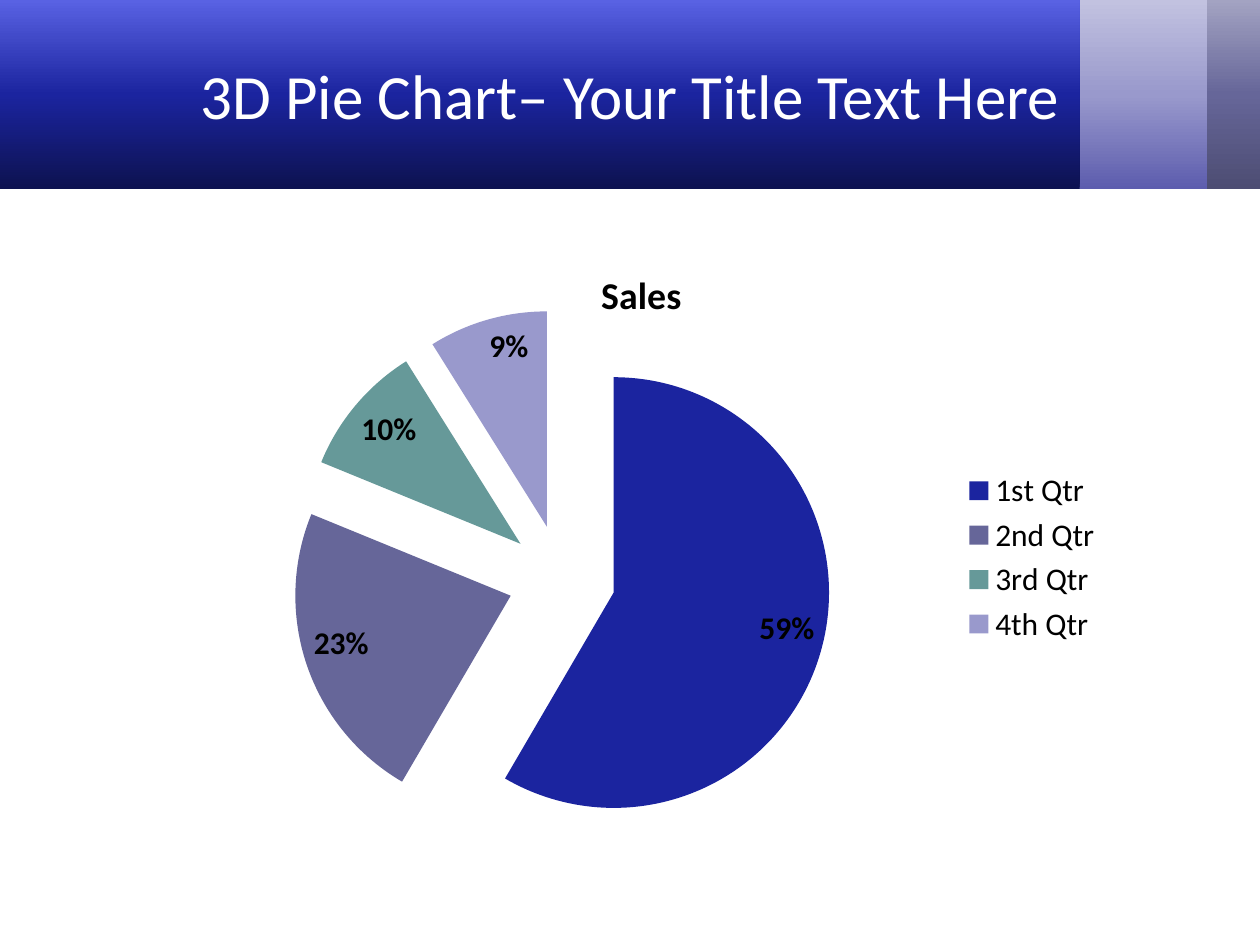
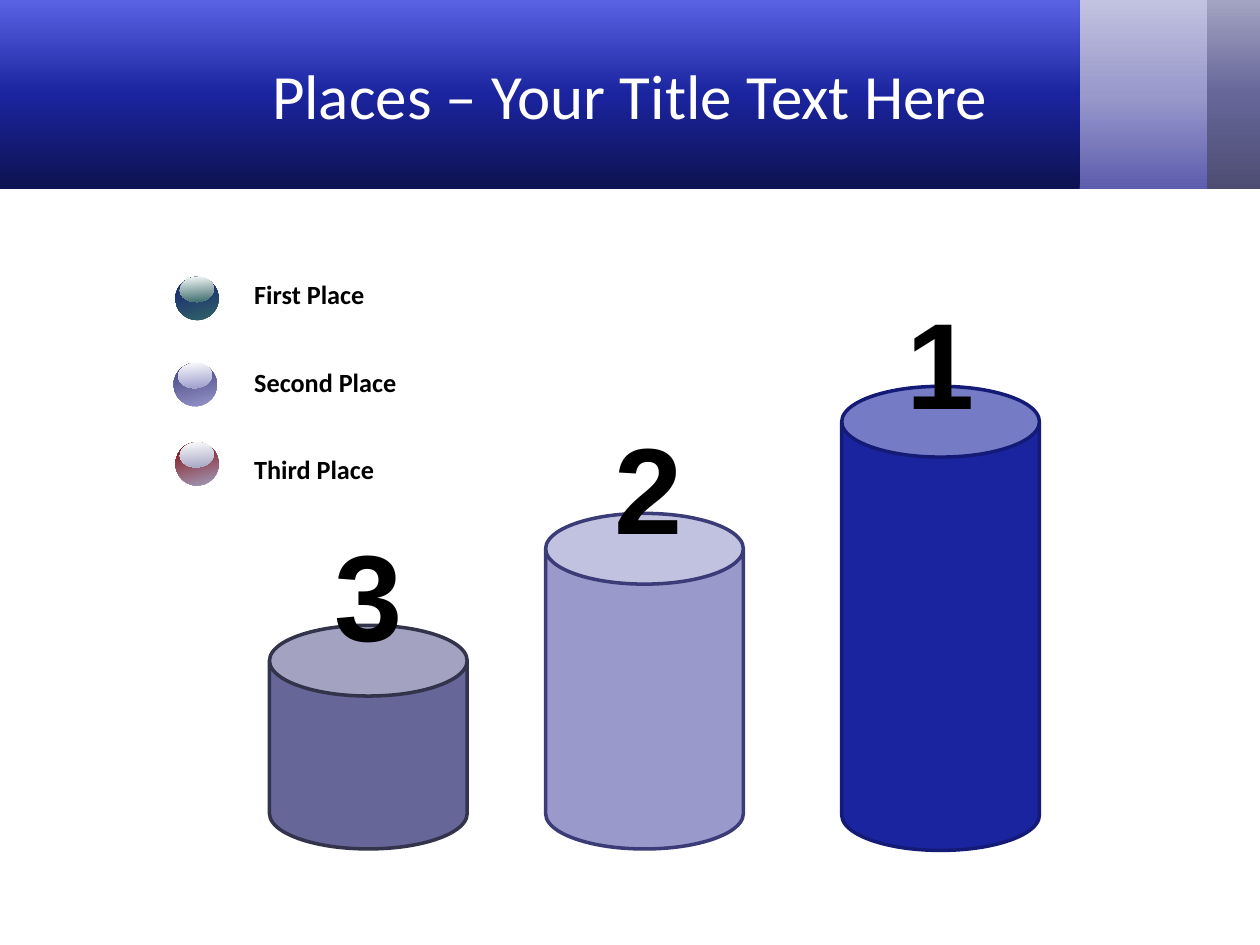
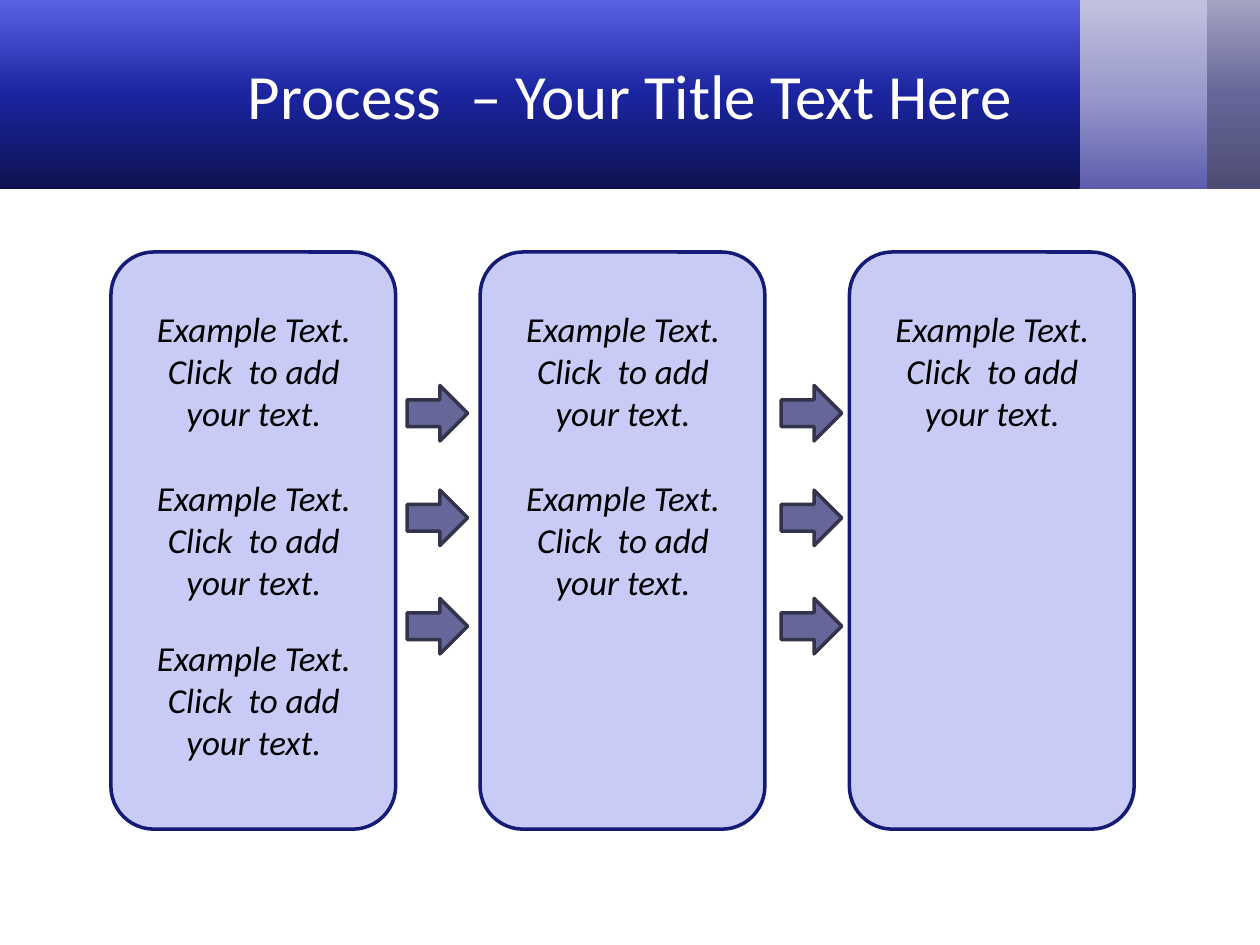
from typing import NamedTuple, Optional

from lxml.etree import SubElement
from pptx import Presentation
from pptx.chart.data import CategoryChartData
from pptx.dml.color import RGBColor
from pptx.enum.chart import XL_CHART_TYPE as ChartType
from pptx.enum.chart import XL_LABEL_POSITION as LabelPosition
from pptx.enum.chart import XL_LEGEND_POSITION as LegendPosition
from pptx.enum.shapes import MSO_SHAPE as Preset
from pptx.enum.text import MSO_ANCHOR as Anchor
from pptx.enum.text import MSO_AUTO_SIZE as AutoSize
from pptx.enum.text import PP_ALIGN as Align
from pptx.oxml.ns import qn
from pptx.util import Pt

# Shared look
COLORS = {
    "white": "FFFFFF", "black": "000000",
    "blue": "1B249F", "blue_dark": "0D1250", "blue_light": "5962E3",
    "blue_edge": "141B77", "blue_pale": "C8CBF6",
    "lilac": "9999CC", "lilac_dark": "5D5DAE", "lilac_light": "C2C2E0",
    "lilac_edge": "3B3B77",
    "slate": "666699", "slate_dark": "4D4D73", "slate_light": "A3A3C2",
    "slate_edge": "33334C",
    "teal": "669999", "teal_dark": "336666", "maroon": "800000",
}
BODY_FONT = "Calibri"
DIGIT_FONT = "Arial"
BAND_HEIGHT = 108
LINE_WIDTH = 2


class Box(NamedTuple):
    left: float
    top: float
    width: float
    height: float

    def points(self) -> tuple:
        return tuple(Pt(length) for length in self)


class TextStyle(NamedTuple):
    size: float
    color: str = "black"
    font: str = BODY_FONT
    bold: bool = False
    italic: bool = False
    align: Align = Align.CENTER


class Band(NamedTuple):
    left: float
    width: float
    colors: tuple


class Podium(NamedTuple):
    place: str
    can: Box
    digit_left: float
    digit_top: float
    fill: str
    edge: str


class LegendEntry(NamedTuple):
    text: str
    ball_left: float
    ball_top: float
    light: str
    dark: str


TITLE_BOX = Box(36, 5.8, 648, 95.8)
TITLE_STYLE = TextStyle(36, "white")
BANDS = [
    Band(679, 41, ("slate_dark", "slate", "slate_light")),
    Band(614.2, 75.6, ("lilac_dark", "lilac", "lilac_light")),
    Band(0, 617, ("blue_dark", "blue", "blue_light")),
]


# Helpers
def rgb(name: str) -> RGBColor:
    return RGBColor.from_string(COLORS[name])


def add_shape(shapes, preset: Preset, box: Box, fill: Optional[str] = None,
              edge: Optional[str] = None, adjustments: tuple = ()):
    shape = shapes.add_shape(preset, *box.points())
    shape.shadow.inherit = False
    for index, value in enumerate(adjustments):
        shape.adjustments[index] = value
    if fill:
        shape.fill.solid()
        shape.fill.fore_color.rgb = rgb(fill)
    if edge:
        shape.line.color.rgb = rgb(edge)
        shape.line.width = Pt(LINE_WIDTH)
    else:
        shape.line.fill.background()
    return shape


def fill_gradient(shape, colors: tuple, clockwise: float) -> None:
    """Spread the colours evenly along a direction given in clockwise degrees."""
    shape.fill.gradient()
    shape.fill.gradient_angle = 360 - clockwise
    stops = shape.element.spPr.find(qn("a:gradFill")).find(qn("a:gsLst"))
    for stop in list(stops):
        stops.remove(stop)
    for index, name in enumerate(colors):
        position = 100000 * index // (len(colors) - 1)
        stop = SubElement(stops, qn("a:gs"), pos=str(position))
        SubElement(stop, qn("a:srgbClr"), val=COLORS[name])


def write(frame, lines: tuple, style: TextStyle) -> None:
    for index, line in enumerate(lines):
        para = frame.add_paragraph() if index else frame.paragraphs[0]
        para.alignment = style.align
        span = para.add_run()
        span.text = line
        span.font.name = style.font
        span.font.size = Pt(style.size)
        span.font.bold = style.bold
        span.font.italic = style.italic
        span.font.color.rgb = rgb(style.color)


def add_text(page, box: Box, lines: tuple, style: TextStyle):
    frame = page.shapes.add_textbox(*box.points()).text_frame
    frame.word_wrap = True
    frame.auto_size = AutoSize.SHAPE_TO_FIT_TEXT
    write(frame, lines, style)
    return frame


def add_page(deck, layout, title: str):
    page = deck.slides.add_slide(layout)
    holder = page.shapes.title
    holder.left, holder.top, holder.width, holder.height = TITLE_BOX.points()
    holder.text_frame.vertical_anchor = Anchor.MIDDLE
    write(holder.text_frame, (title,), TITLE_STYLE)
    return page


def put_bands_on_layout(page, layout) -> None:
    """Draw the header bands and move them behind the layout's placeholders."""
    for index, band in enumerate(BANDS):
        box = Box(band.left, 0, band.width, BAND_HEIGHT)
        shape = add_shape(page.shapes, Preset.RECTANGLE, box)
        fill_gradient(shape, band.colors, 270)
        layout.shapes.element.insert(2 + index, shape.element)


# Pie chart
CHART_BOX = Box(95.8, 138.2, 541.4, 360.7)
QUARTERS = {"1st Qtr": (59, "blue"), "2nd Qtr": (23, "slate"),
            "3rd Qtr": (10, "teal"), "4th Qtr": (9, "lilac")}
PLOT_LAYOUT = {"layoutTarget": "inner", "xMode": "edge", "yMode": "edge",
               "x": "0.012", "y": "0.107", "w": "0.808", "h": "0.853"}


def place_plot(chart) -> None:
    area = chart.element.find(".//" + qn("c:plotArea"))
    for layout in area.findall(qn("c:layout")):
        area.remove(layout)
    layout = SubElement(area, qn("c:layout"))
    area.insert(0, layout)
    manual = SubElement(layout, qn("c:manualLayout"))
    for tag, value in PLOT_LAYOUT.items():
        SubElement(manual, qn("c:" + tag), val=value)


def explode(series, percent: int) -> None:
    element = series.format and series._element
    explosion = SubElement(element, qn("c:explosion"), val=str(percent))
    element.find(qn("c:cat")).addprevious(explosion)
    for point in element.findall(qn("c:dPt")):
        explosion.addnext(point)


def draw_pie(page) -> None:
    data = CategoryChartData()
    data.categories = list(QUARTERS)
    data.add_series("Sales", [value for value, _ in QUARTERS.values()])
    chart = page.shapes.add_chart(ChartType.PIE, *CHART_BOX.points(), data).chart
    chart.font.name = BODY_FONT
    chart.font.size = Pt(18)
    chart.font.color.rgb = rgb("black")

    chart.has_title = True
    write(chart.chart_title.text_frame, ("Sales",), TextStyle(21.6, bold=True))
    chart.has_legend = True
    chart.legend.position = LegendPosition.RIGHT
    chart.legend.include_in_layout = False
    chart.legend.font.name = BODY_FONT
    chart.legend.font.size = Pt(18)
    chart.legend.font.color.rgb = rgb("black")

    plot = chart.plots[0]
    plot.vary_by_categories = True
    series = plot.series[0]
    explode(series, 25)
    for index, (_, color) in enumerate(QUARTERS.values()):
        fill = series.points[index].format.fill
        fill.solid()
        fill.fore_color.rgb = rgb(color)

    plot.has_data_labels = True
    labels = plot.data_labels
    labels.show_value = True
    labels.number_format = '0"%"'
    labels.number_format_is_linked = False
    labels.position = LabelPosition.INSIDE_END
    labels.font.name = BODY_FONT
    labels.font.size = Pt(18)
    labels.font.bold = True
    labels.font.color.rgb = rgb("black")
    place_plot(chart)


# Podium
PODIUMS = [
    Podium("2", Box(311.8, 293.4, 113, 191.8), 331.2, 231.8, "lilac", "lilac_edge"),
    Podium("3", Box(154, 357.3, 113, 127.8), 171.4, 293, "slate", "slate_edge"),
    Podium("1", Box(481, 220.8, 113, 265.2), 498.2, 160.6, "blue", "blue_edge"),
]
LEGEND = [
    LegendEntry("First Place", 100.2, 158.2, "teal_dark", "blue_edge"),
    LegendEntry("Second Place", 99.2, 207.4, "lilac", "lilac_edge"),
    LegendEntry("Third Place", 100.2, 252.7, "slate_light", "maroon"),
]
LEGEND_TOP, LEGEND_STEP = 152, 50
BALL_TILT = 355.8


def draw_ball(page, entry: LegendEntry) -> None:
    group = page.shapes.add_group_shape()
    left, top = entry.ball_left, entry.ball_top
    layers = [
        (Box(left, top, 24.8, 24.8), (entry.light, entry.dark), 260),
        (Box(left + 2.6, top, 19.4, 14.4), ("white", entry.light), 90),
    ]
    for box, colors, angle in layers:
        oval = add_shape(group.shapes, Preset.OVAL, box)
        fill_gradient(oval, colors, angle)
        oval.rotation = BALL_TILT


def draw_podium(page) -> None:
    for podium in PODIUMS:
        add_shape(page.shapes, Preset.CAN, podium.can, podium.fill, podium.edge, (0.358,))
    for podium in PODIUMS:
        box = Box(podium.digit_left, podium.digit_top, 78.5, 92.2)
        add_text(page, box, (podium.place,), TextStyle(70, font=DIGIT_FONT, bold=True))

    for index, entry in enumerate(LEGEND):
        box = Box(138.2, LEGEND_TOP + index * LEGEND_STEP, 136, 28.8)
        style = TextStyle(15, bold=True, align=Align.LEFT)
        frame = add_text(page, box, (entry.text,), style)
        frame.vertical_anchor = Anchor.MIDDLE
        frame.margin_top = Pt(7.2)
        draw_ball(page, entry)


# Process
COLUMN_COUNT = 3
COLUMN_STEP = 211
PANEL = Box(63.4, 144, 162.7, 329.8)
TEXT_LEFT = 72.7
TEXT_TOPS = (172.1, 268.6, 360)
ARROW_LEFTS = (232.6, 446.4)
ARROW_TOPS = (220.3, 280.1, 342)
EXAMPLE = ("Example Text.", "Click  to add your text.")


def draw_process(page) -> None:
    for column in range(COLUMN_COUNT):
        panel = PANEL._replace(left=PANEL.left + column * COLUMN_STEP)
        add_shape(page.shapes, Preset.ROUNDED_RECTANGLE, panel,
                  "blue_pale", "blue_edge", (0.151,))
    for left in ARROW_LEFTS:
        for top in ARROW_TOPS:
            add_shape(page.shapes, Preset.RIGHT_ARROW, Box(left, top, 34.6, 31.7),
                      "slate", "slate_edge", (0.482, 0.5))
    for column in range(COLUMN_COUNT):
        for top in TEXT_TOPS[:COLUMN_COUNT - column]:
            box = Box(TEXT_LEFT + column * COLUMN_STEP, top, 144.7, 79.9)
            add_text(page, box, EXAMPLE, TextStyle(20, italic=True))


def main() -> None:
    deck = Presentation()
    deck.slide_width, deck.slide_height = Pt(720), Pt(540)
    layout = deck.slide_layouts.get_by_name("Title Only")

    pie_page = add_page(deck, layout, "3D Pie Chart– Your Title Text Here")
    put_bands_on_layout(pie_page, layout)
    draw_pie(pie_page)
    draw_podium(add_page(deck, layout, "Places – Your Title Text Here"))
    draw_process(add_page(deck, layout, "Process  – Your Title Text Here"))
    deck.save("out.pptx")


if __name__ == "__main__":
    main()
